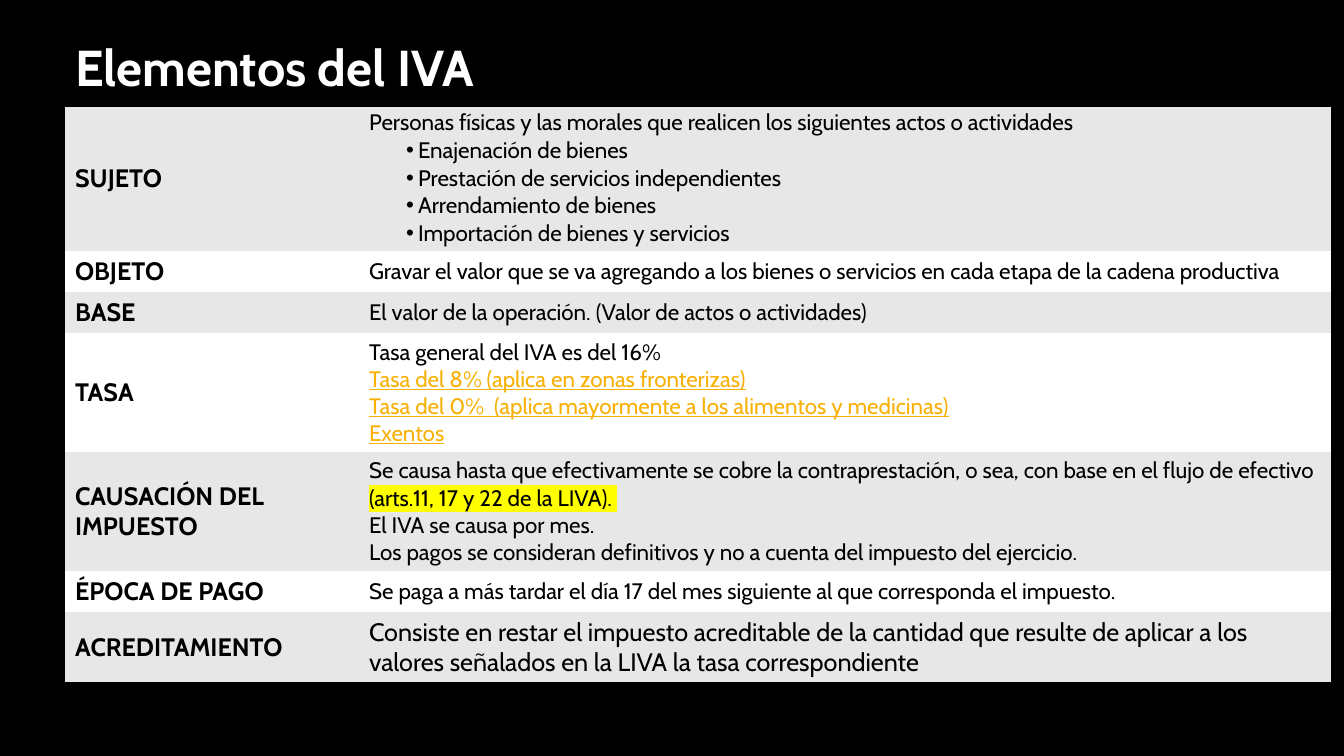
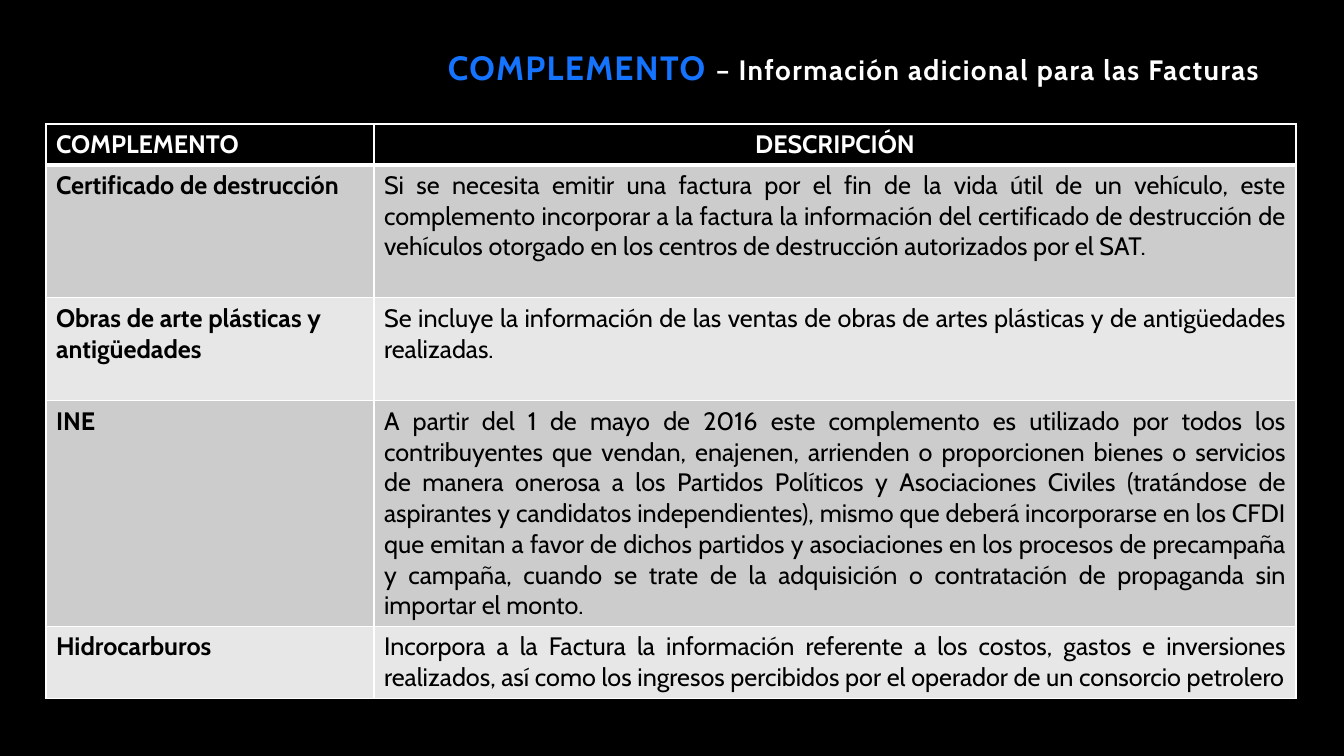
from dataclasses import dataclass

import pptx
import pptx.dml.color
import pptx.enum.text
import pptx.oxml
import pptx.oxml.ns
import pptx.util
from lxml import etree

EMU_PER_INCH = 914400
PX_PER_INCH = 100.8
FONT = "Cabin"
NO_STYLE = "{2D5ABB26-0587-4C30-8999-92F81FD0307C}"
COLOURS = {
    "black": "000000",
    "white": "FFFFFF",
    "light": "E7E7E7",
    "grey": "CCCCCC",
    "blue": "1474FF",
    "amber": "F8B004",
    "yellow": "FFFF00",
}
ALIGN = pptx.enum.text.PP_ALIGN
ANCHOR = pptx.enum.text.MSO_ANCHOR
qn = pptx.oxml.ns.qn


@dataclass(frozen=True)
class Run:
    text: str
    size: int = 18
    colour: str = "black"
    bold: bool = False
    underline: bool = False
    highlight: str = ""
    spacing: int = 0


@dataclass(frozen=True)
class Para:
    runs: tuple[Run, ...]
    align: ALIGN = ALIGN.LEFT
    bullet: bool = False
    line_spacing: float = 1.0
    after: float = 0


@dataclass(frozen=True)
class Border:
    side: str
    colour: str
    width: int


@dataclass(frozen=True)
class Row:
    height: int
    fill: str
    cells: tuple[tuple[Para, ...], ...]
    borders: tuple[Border, ...] = ()


def px(length: int) -> pptx.util.Emu:
    return pptx.util.Emu(round(length * EMU_PER_INCH / PX_PER_INCH))


def rgb(colour: str) -> pptx.dml.color.RGBColor:
    return pptx.dml.color.RGBColor.from_string(COLOURS[colour])


def add_colour(parent, tag: str, colour: str) -> None:
    """Append a colour-bearing element such as a:solidFill or a:highlight."""
    holder = etree.SubElement(parent, qn(tag))
    etree.SubElement(holder, qn("a:srgbClr"), val=COLOURS[colour])


def add_run(paragraph, part: Run) -> None:
    run = paragraph.add_run()
    run.text = part.text
    font = run.font
    font.size = pptx.util.Pt(part.size)
    font.bold = part.bold
    font.underline = part.underline
    font.color.rgb = rgb(part.colour)
    properties = run._r.get_or_add_rPr()
    if part.highlight:
        add_colour(properties, "a:highlight", part.highlight)
    if part.spacing:
        properties.set("spc", str(part.spacing * 100))
    font.name = FONT


def add_bullet(paragraph) -> None:
    properties = paragraph._p.get_or_add_pPr()
    properties.set("marL", str(px(49)))
    properties.set("indent", str(-px(12)))
    etree.SubElement(properties, qn("a:buFont"), typeface="Arial")
    etree.SubElement(properties, qn("a:buChar"), char="•")


def write(frame, paras: tuple[Para, ...]) -> None:
    frame.word_wrap = True
    for index, para in enumerate(paras):
        paragraph = frame.add_paragraph() if index else frame.paragraphs[0]
        paragraph.alignment = para.align
        paragraph.line_spacing = para.line_spacing
        paragraph.space_after = pptx.util.Pt(para.after)
        if para.bullet:
            add_bullet(paragraph)
        for part in para.runs:
            add_run(paragraph, part)


def set_borders(cell, borders: tuple[Border, ...]) -> None:
    """Put the lines ahead of the cell fill, in the order L, R, T, B."""
    properties = cell._tc.get_or_add_tcPr()
    for index, border in enumerate(borders):
        line = etree.Element(qn(f"a:ln{border.side}"), w=str(pptx.util.Pt(border.width)))
        add_colour(line, "a:solidFill", border.colour)
        properties.insert(index, line)


def add_grid(slide, left: int, top: int, widths: tuple[int, ...],
             rows: list[Row], anchor: ANCHOR):
    heights = [row.height for row in rows]
    table = slide.shapes.add_table(len(rows), len(widths), px(left), px(top),
                                   px(sum(widths)), px(sum(heights))).table
    table.first_row = table.horz_banding = False
    table._tbl.tblPr.find(qn("a:tableStyleId")).text = NO_STYLE
    for column, width in zip(table.columns, widths):
        column.width = px(width)
    for index, row in enumerate(rows):
        table.rows[index].height = px(row.height)
        for column in range(len(widths)):
            cell = table.cell(index, column)
            cell.vertical_anchor = anchor
            cell.fill.solid()
            cell.fill.fore_color.rgb = rgb(row.fill)
            set_borders(cell, row.borders)
            if column < len(row.cells):
                write(cell.text_frame, row.cells[column])
    return table


def plain(text: str, size: int = 16, **style) -> Para:
    return Para((Run(text, size, **style),))


def heading(text: str, colour: str = "black", align: ALIGN = ALIGN.LEFT) -> tuple[Para, ...]:
    return (Para((Run(text, colour=colour, bold=True),), align),)


def subject_line(text: str, bullet: bool = True) -> Para:
    return Para((Run(text, 16),), bullet=bullet, line_spacing=0.9, after=2.4)


def link(text: str) -> Para:
    return plain(text, colour="amber", underline=True)


def add_black_slide(deck):
    slide = deck.slides.add_slide(deck.slide_layouts[6])
    slide.background.fill.solid()
    slide.background.fill.fore_color.rgb = rgb("black")
    return slide


def add_tax_elements(deck) -> None:
    slide = add_black_slide(deck)
    bottom = Border("B", "black", 2)
    goods = ("Enajenación de bienes", "Prestación de servicios independientes",
             "Arrendamiento de bienes", "Importación de bienes y servicios")
    elements = [
        (144, "SUJETO", (
            subject_line("Personas físicas y las morales que realicen los siguientes "
                         "actos o actividades", bullet=False),
            *map(subject_line, goods))),
        (41, "OBJETO", (plain("Gravar el valor que se va agregando a los bienes o servicios "
                              "en cada etapa de la cadena productiva"),)),
        (41, "BASE", (plain("El valor de la operación. (Valor de actos o actividades)"),)),
        (119, "TASA", (
            plain("Tasa general del IVA es del 16%"),
            link("Tasa del 8% (aplica en zonas fronterizas)"),
            link("Tasa del 0%  (aplica mayormente a los alimentos y medicinas)"),
            link("Exentos"))),
        (118, "CAUSACIÓN DEL IMPUESTO", (
            Para((Run("Se causa hasta que efectivamente se cobre la contraprestación, o sea, "
                      "con base en el flujo de efectivo ", 16),
                  Run("(arts.11, 17 y 22 de la LIVA). ", 16, highlight="yellow"))),
            plain("El IVA se causa por mes."),
            plain("Los pagos se consideran definitivos y no a cuenta del impuesto "
                  "del ejercicio."))),
        (41, "ÉPOCA DE PAGO", (plain("Se paga a más tardar el día 17 del mes siguiente al que "
                                     "corresponda el impuesto."),)),
        (70, "ACREDITAMIENTO", (plain("Consiste en restar el impuesto acreditable de la cantidad "
                                      "que resulte de aplicar a los valores señalados en la LIVA "
                                      "la tasa correspondiente", 18),)),
    ]
    title = plain("Elementos del IVA", 36, colour="white", bold=True)
    rows = [Row(73, "black", ((title,),), (Border("T", "black", 2), bottom))]
    for index, (height, name, detail) in enumerate(elements):
        is_last = index == len(elements) - 1
        rows.append(Row(height, "white" if index % 2 else "light",
                        (heading(name), detail), (bottom,) if is_last else ()))
    table = add_grid(slide, 65, 33, (294, 972), rows, ANCHOR.MIDDLE)
    table.cell(0, 0).merge(table.cell(0, 1))
    table.cell(0, 0).vertical_anchor = ANCHOR.TOP


def add_complements(deck) -> None:
    slide = add_black_slide(deck)
    complements = [
        (133, "Certificado de destrucción",
         "Si se necesita emitir una factura por el fin de la vida útil de un vehículo, este "
         "complemento incorporar a la factura la información del certificado de destrucción de "
         "vehículos otorgado en los centros de destrucción autorizados por el SAT."),
        (103, "Obras de arte plásticas y antigüedades",
         "Se incluye la información de las ventas de obras de artes plásticas y de antigüedades "
         "realizadas."),
        (225, "INE",
         "A partir del 1 de mayo de 2016 este complemento es utilizado por todos los "
         "contribuyentes que vendan, enajenen, arrienden o proporcionen bienes o servicios de "
         "manera onerosa a los Partidos Políticos y Asociaciones Civiles (tratándose de "
         "aspirantes y candidatos independientes), mismo que deberá incorporarse en los CFDI que "
         "emitan a favor de dichos partidos y asociaciones en los procesos de precampaña y "
         "campaña, cuando se trate de la adquisición o contratación de propaganda sin importar "
         "el monto."),
        (72, "Hidrocarburos",
         "Incorpora a la Factura la información referente a los costos, gastos e inversiones "
         "realizados, así como los ingresos percibidos por el operador de un consorcio "
         "petrolero"),
    ]
    frame_lines = tuple(Border(side, "white", 1) for side in "LRTB")
    header_line = Border("B", "white", 3)
    rows = [Row(40, "black", (heading("COMPLEMENTO", "white"),
                              heading("DESCRIPCIÓN", "white", ALIGN.CENTER)),
                (*frame_lines[:3], header_line))]
    for index, (height, name, description) in enumerate(complements):
        top_line = frame_lines[2] if index else Border("T", "white", 3)
        rows.append(Row(height, "light" if index % 2 else "grey",
                        (heading(name), (Para((Run(description),), ALIGN.JUSTIFY),)),
                        (*frame_lines[:2], top_line, frame_lines[3])))
    add_grid(slide, 46, 124, (328, 922), rows, ANCHOR.TOP)

    title = slide.shapes.add_textbox(px(438), px(23), px(857), px(70)).text_frame
    title.vertical_anchor = ANCHOR.BOTTOM
    write(title, (Para((
        Run("COMPLEMENTO ", 24, "blue", bold=True, spacing=1),
        Run("– Información adicional para las Facturas", 20, "white", bold=True, spacing=1),
    ), line_spacing=0.9),))


def main() -> None:
    deck = pptx.Presentation()
    deck.slide_width, deck.slide_height = px(1344), px(756)
    add_tax_elements(deck)
    add_complements(deck)
    deck.save("out.pptx")


if __name__ == "__main__":
    main()
